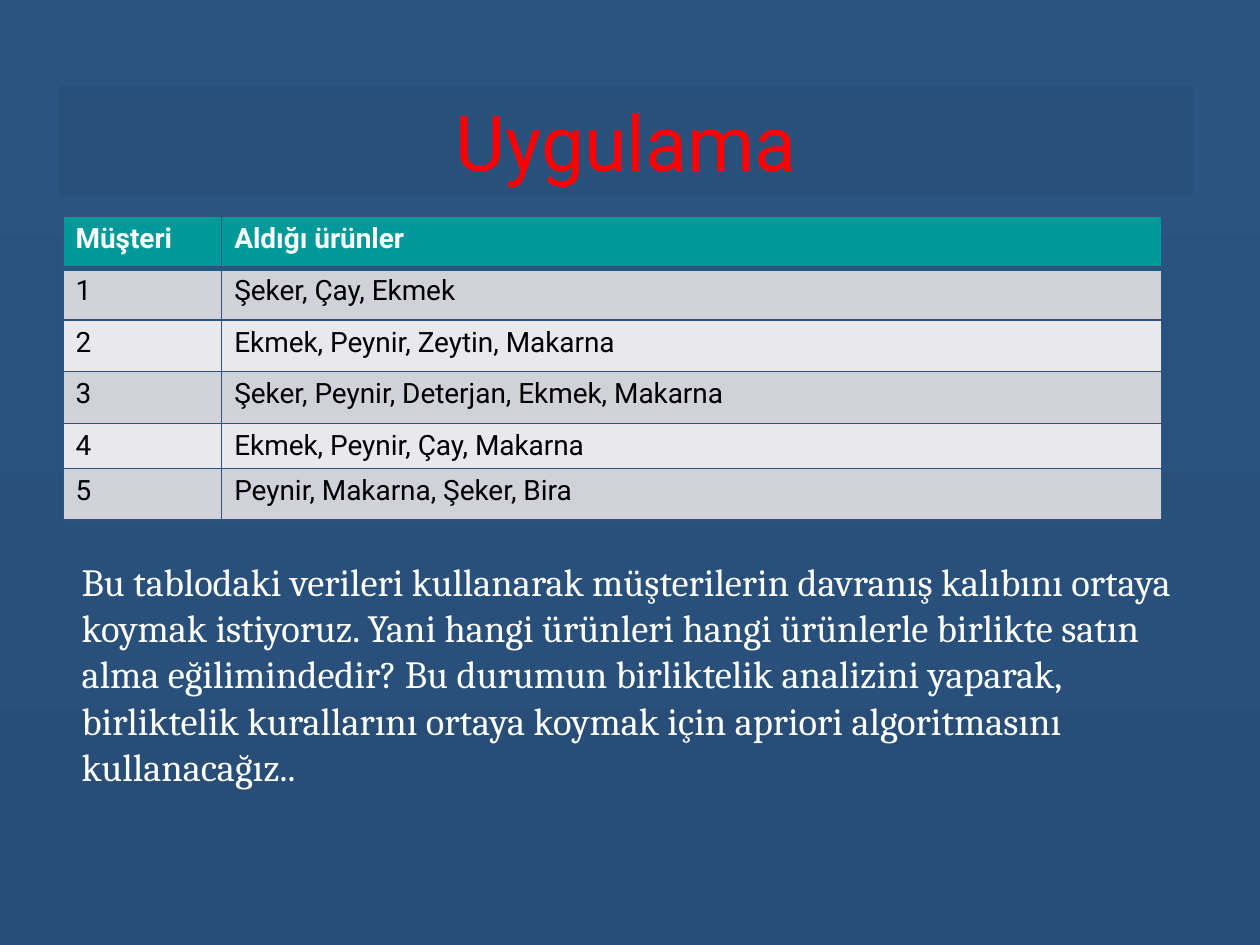
from lxml.etree import SubElement
from pptx import Presentation
from pptx.dml.color import RGBColor
from pptx.enum.shapes import MSO_SHAPE
from pptx.enum.text import MSO_ANCHOR, PP_ALIGN
from pptx.oxml.ns import qn
from pptx.util import Inches, Pt

BORDER = "2B5481"
HEADER = "009999"
BANDS = ("D1D1DA", "E9E9ED")
ROWS = [
    ("Müşteri", "Aldığı ürünler"),
    ("1", "Şeker, Çay, Ekmek"),
    ("2", "Ekmek, Peynir, Zeytin, Makarna"),
    ("3", "Şeker, Peynir, Deterjan, Ekmek, Makarna"),
    ("4", "Ekmek, Peynir, Çay, Makarna"),
    ("5", "Peynir, Makarna, Şeker, Bira"),
]
COL_WIDTHS = (1.26, 7.46)
ROW_HEIGHTS = (0.41, 0.41, 0.41, 0.41, 0.33, 0.41)
BODY = (
    "Bu tablodaki verileri kullanarak müşterilerin davranış kalıbını ortaya "
    "koymak istiyoruz. Yani hangi ürünleri hangi ürünlerle birlikte satın "
    "alma eğilimindedir? Bu durumun birliktelik analizini yaparak, "
    "birliktelik kurallarını ortaya koymak için apriori algoritmasını "
    "kullanacağız.."
)


def rgb(value):
    return RGBColor.from_string(value)


def add_run(p, text, size, font, color, bold=False):
    r = p.add_run()
    r.text = text
    r.font.size = Pt(size)
    r.font.name = font
    r.font.bold = bold
    r.font.color.rgb = rgb(color)


def set_background(s, top, bottom):
    fill = s.background.fill
    fill.gradient()
    fill.gradient_angle = 270
    for stop, color in zip(fill.gradient_stops, (top, bottom)):
        stop.color.rgb = rgb(color)


def add_title(s, text):
    sp = s.shapes.add_shape(MSO_SHAPE.RECTANGLE, Inches(0.47), Inches(0.68),
                            Inches(9), Inches(0.88))
    sp.shadow.inherit = False
    sp.fill.solid()
    sp.fill.fore_color.rgb = rgb("29507B")
    sp.line.fill.background()
    tf = sp.text_frame
    tf.vertical_anchor = MSO_ANCHOR.MIDDLE
    p = tf.paragraphs[0]
    p.alignment = PP_ALIGN.CENTER
    add_run(p, text, 44, "Roboto", "FF0000")


def set_borders(cell, **widths):
    tcPr = cell.fill._xPr
    # Border lines come before the fill in a cell's properties
    for i, (side, width) in enumerate(widths.items()):
        ln = SubElement(tcPr, qn(f"a:ln{side}"), w=str(Pt(width)))
        solid = SubElement(ln, qn("a:solidFill"))
        SubElement(solid, qn("a:srgbClr"), val=BORDER)
        tcPr.insert(i, ln)


def add_purchases(s):
    table = s.shapes.add_table(
        len(ROWS), len(COL_WIDTHS), Inches(0.5), Inches(1.72),
        Inches(sum(COL_WIDTHS)), Inches(sum(ROW_HEIGHTS))).table
    for column, width in zip(table.columns, COL_WIDTHS):
        column.width = Inches(width)
    for i, (values, height) in enumerate(zip(ROWS, ROW_HEIGHTS)):
        table.rows[i].height = Inches(height)
        header = i == 0
        for j, value in enumerate(values):
            cell = table.cell(i, j)
            cell.fill.solid()
            cell.fill.fore_color.rgb = rgb(HEADER if header else BANDS[(i - 1) % 2])
            # A thick rule separates the header from the body
            set_borders(cell, L=1, R=1, T=3 if i == 1 else 1, B=3 if header else 1)
            add_run(cell.text_frame.paragraphs[0], value, 16, "Roboto",
                    "FFFFFF" if header else "000000", header)


def add_body(s, text):
    tf = s.shapes.add_textbox(Inches(0.55), Inches(4.38),
                              Inches(8.91), Inches(1.95)).text_frame
    tf.word_wrap = True
    add_run(tf.paragraphs[0], text, 22, "Cambria", "FFFFFF")


def main():
    prs = Presentation()
    prs.slide_width, prs.slide_height = Inches(10), Inches(7.5)
    s = prs.slides.add_slide(prs.slide_layouts[6])
    set_background(s, "2B5481", "284E78")
    add_title(s, "Uygulama")
    add_purchases(s)
    add_body(s, BODY)
    prs.save("out.pptx")


if __name__ == "__main__":
    main()
